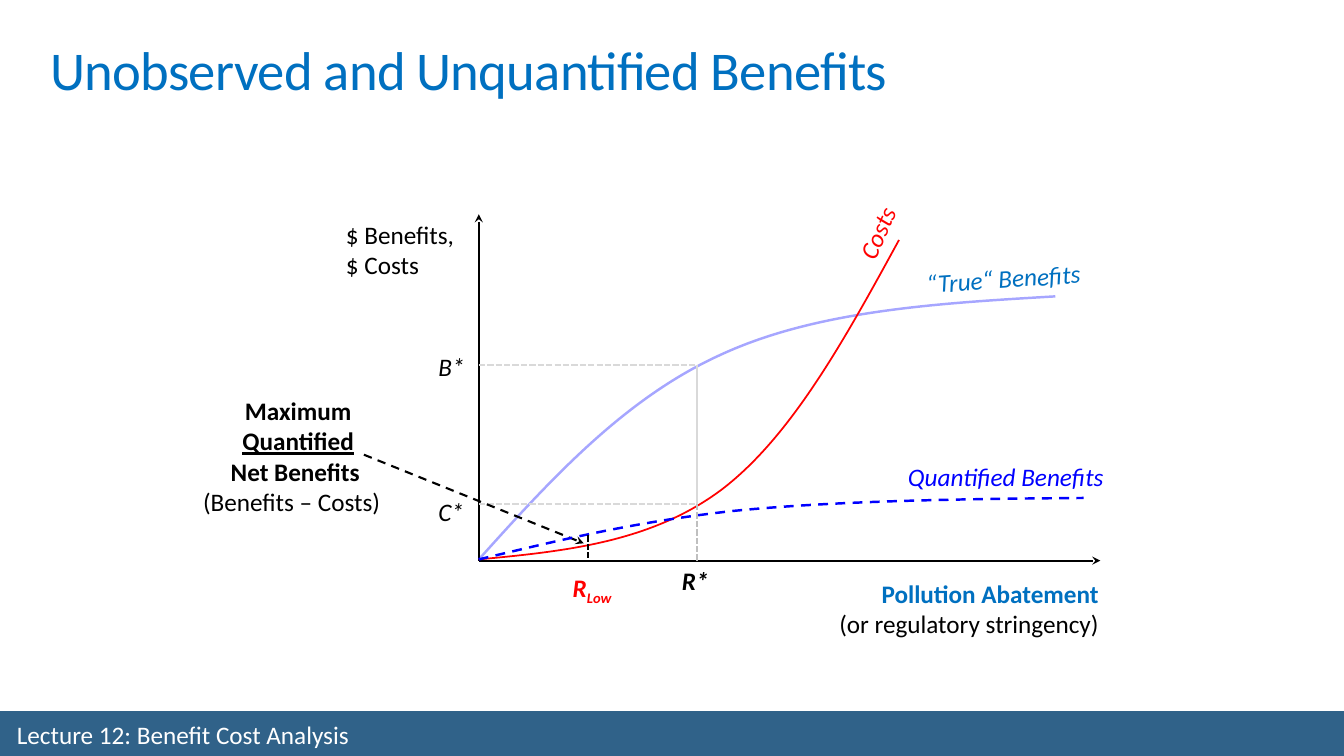
from dataclasses import dataclass
from typing import Optional

from lxml import etree
from pptx import Presentation
from pptx.dml.color import RGBColor
from pptx.enum import dml, shapes, text
from pptx.oxml import ns
from pptx.util import Pt

DASH = dml.MSO_LINE.DASH
SYS_DASH = dml.MSO_LINE.SQUARE_DOT
LEFT, CENTER, RIGHT = text.PP_ALIGN.LEFT, text.PP_ALIGN.CENTER, text.PP_ALIGN.RIGHT
TOP, MIDDLE, BOTTOM = text.MSO_ANCHOR.TOP, text.MSO_ANCHOR.MIDDLE, text.MSO_ANCHOR.BOTTOM

ZERO_X, ZERO_Y = 342, 400.5
OPTIMUM_X, BENEFIT_Y, COST_Y = 498, 260.6, 360
LOW_X = 419.8
SUBSCRIPT = "-25000"


@dataclass
class Line:
    content: str
    align: Optional[text.PP_ALIGN] = None
    bold: Optional[bool] = None
    color: str = "000000"
    underline: Optional[bool] = None
    italic: Optional[bool] = None
    subscript: str = ""


@dataclass
class Label:
    box: tuple[float, float, float, float]
    lines: list[Line]
    rotation: float = 0
    size: float = 18
    anchor: text.MSO_ANCHOR = TOP
    grow: bool = True


@dataclass
class Segment:
    start: tuple[float, float]
    end: tuple[float, float]
    color: str = "000000"
    dash: Optional[dml.MSO_LINE] = None
    arrow: bool = False


@dataclass
class Curve:
    points: list[tuple[float, float]]
    color: str
    width: float
    dash: Optional[dml.MSO_LINE] = None
    opacity: int = 100


def rgb(value: str) -> RGBColor:
    return RGBColor.from_string(value)


def add_label(slide, label: Label):
    box = slide.shapes.add_textbox(*(Pt(length) for length in label.box))
    box.rotation = label.rotation
    frame = box.text_frame
    frame.word_wrap = True
    frame.vertical_anchor = label.anchor
    if label.grow:
        frame.auto_size = text.MSO_AUTO_SIZE.SHAPE_TO_FIT_TEXT
    frame.text = "\n".join(line.content for line in label.lines)
    for paragraph, line in zip(frame.paragraphs, label.lines):
        paragraph.alignment = line.align
        if line.subscript:
            low = paragraph.add_run()
            low.text = line.subscript
            low.font._element.set("baseline", SUBSCRIPT)
        for run in paragraph.runs:
            font = run.font
            font.name, font.size = "Calibri", Pt(label.size)
            font.bold, font.italic = line.bold, line.italic
            font.underline = line.underline
            font.color.rgb = rgb(line.color)
    return box


def add_segment(slide, segment: Segment) -> None:
    ends = (Pt(length) for length in (*segment.start, *segment.end))
    connector = slide.shapes.add_connector(shapes.MSO_CONNECTOR.STRAIGHT, *ends)
    connector.line.width = Pt(1.5)
    connector.line.color.rgb = rgb(segment.color)
    if segment.dash:
        connector.line.dash_style = segment.dash
    properties = connector._element.spPr
    if segment.arrow:
        outline = properties.find(ns.qn("a:ln"))
        etree.SubElement(outline, ns.qn("a:headEnd"), type="stealth")
    etree.SubElement(properties, ns.qn("a:effectLst"))


def bend(outline) -> None:
    straight = outline.findall(ns.qn("a:lnTo"))
    for first in range(0, len(straight), 3):
        cubic = etree.SubElement(outline, ns.qn("a:cubicBezTo"))
        for step in straight[first:first + 3]:
            cubic.append(step[0])
            outline.remove(step)


def add_curve(slide, curve: Curve) -> None:
    start, *rest = [(Pt(x), Pt(y)) for x, y in curve.points]
    builder = slide.shapes.build_freeform(*start)
    builder.add_line_segments(rest, close=False)
    drawn = builder.convert_to_shape()
    properties = drawn._element.spPr
    bend(properties.find(".//" + ns.qn("a:path")))
    drawn.shadow.inherit = False
    drawn.fill.background()
    drawn.line.width = Pt(curve.width)
    drawn.line.color.rgb = rgb(curve.color)
    if curve.dash:
        drawn.line.dash_style = curve.dash
    if curve.opacity < 100:
        tint = properties.find(ns.qn("a:ln")).find(".//" + ns.qn("a:srgbClr"))
        etree.SubElement(tint, ns.qn("a:alpha"), val=str(curve.opacity * 1000))


def add_footer(slide) -> None:
    band = slide.shapes.add_shape(shapes.MSO_SHAPE.RECTANGLE, 0, Pt(508), Pt(960), Pt(33))
    band.shadow.inherit = False
    band.fill.solid()
    band.fill.fore_color.rgb = rgb("306289")
    band.line.fill.background()
    add_label(slide, Label((5, 513, 694, 23), anchor=MIDDLE, grow=False,
                           lines=[Line("Lecture 12: Benefit Cost Analysis", color="FFFFFF")]))


def add_title(slide) -> None:
    title = add_label(slide, Label((28.8, 13.7, 715.7, 62.6), size=39, anchor=BOTTOM, grow=False,
                                   lines=[Line("Unobserved and Unquantified Benefits",
                                               color="0070C0")]))
    paragraph = title.text_frame.paragraphs[0]
    paragraph.line_spacing = 0.85
    paragraph.runs[0].font._element.set("spc", "-50")


DIAGRAM = [
    Segment((ZERO_X, 153), (ZERO_X, ZERO_Y), arrow=True),
    Curve([(342, 399.6), (393.8, 342), (446.4, 284.4), (514.8, 253.4),
           (583.2, 221.8), (668.9, 216.7), (753.8, 211.7)], "0000FF", 1.75, opacity=34),
    Curve([(642.2, 171.4), (604.1, 241.2), (565.9, 311), (516.2, 349.2),
           (465.8, 387.4), (403.9, 393.8), (342, 399.6)], "FF0000", 1.25),
    Segment((786, ZERO_Y), (ZERO_X, ZERO_Y), arrow=True),
    Segment((OPTIMUM_X, BENEFIT_Y), (OPTIMUM_X, COST_Y), "D9D9D9"),
    *(Segment((ZERO_X, level), (OPTIMUM_X, level), "D9D9D9", SYS_DASH)
      for level in (BENEFIT_Y, COST_Y)),
    Label((240, 153, 96, 50.9), [Line("$ Benefits,"), Line("$ Costs")]),
    Label((576, 409.5, 216, 50.9), [
        Line("Pollution Abatement", RIGHT, True, "0070C0"),
        Line("(or regulatory stringency)", RIGHT)]),
    Label((306, 351, 40.5, 29.1), [Line("C*", italic=True)]),
    Label((306, 247.5, 40.5, 29.1), [Line("B*", italic=True)]),
    Segment((OPTIMUM_X, COST_Y), (OPTIMUM_X, ZERO_Y), "BFBFBF", SYS_DASH),
    Label((480, 400.5, 40.5, 29.1), [Line("R*", bold=True, italic=True)]),
    Label((138, 279, 150, 94.5), [
        Line("Maximum", CENTER, True),
        Line("Quantified", CENTER, True, underline=True),
        Line("Net Benefits ", CENTER, True),
        Line("(Benefits – Costs)")]),
    Label((402, 405, 54, 29.1),
          [Line("R", bold=True, color="FF0000", italic=True, subscript="Low")]),
    Segment((417, 388.1), (258, 324), dash=DASH, arrow=True),
    Curve([(342, 399.6), (396.7, 386.6), (451.4, 373), (523.4, 365),
           (595.4, 357.8), (684.7, 356.4), (774, 355.7)], "0000FF", 1.75, DASH),
    Label((641.5, 325.7, 156.2, 29.1),
          [Line("Quantified Benefits", color="0000FF", italic=True)]),
    Segment((LOW_X, 382.3), (LOW_X, ZERO_Y), dash=SYS_DASH),
    Label((599, 149.8, 56.9, 29.1),
          [Line("Costs", color="FF0000", italic=True)], rotation=293.6),
    Label((654.5, 184.3, 128.9, 29.1),
          [Line("“True“ Benefits", color="0070C0", italic=True)], rotation=356),
]
DRAWERS = {Segment: add_segment, Curve: add_curve, Label: add_label}


def main() -> None:
    deck = Presentation()
    deck.slide_width, deck.slide_height = Pt(960), Pt(540)
    slide = deck.slides.add_slide(deck.slide_layouts[6])
    add_footer(slide)
    for part in DIAGRAM:
        DRAWERS[type(part)](slide, part)
    add_title(slide)
    deck.save("out.pptx")


if __name__ == "__main__":
    main()
